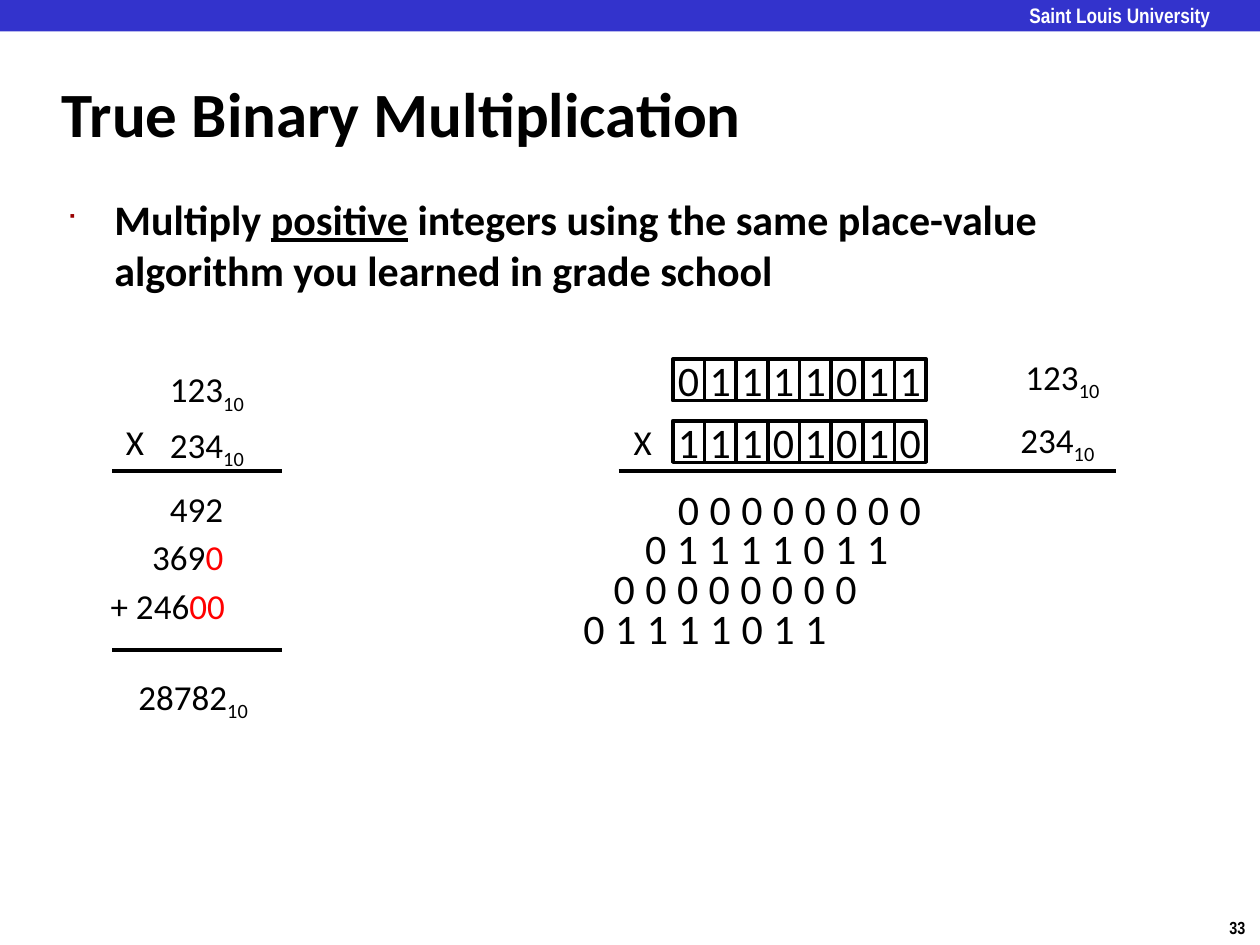
from dataclasses import dataclass
from typing import Any

from lxml.etree import SubElement
from pptx import Presentation
from pptx.dml.color import RGBColor
from pptx.enum.shapes import MSO_CONNECTOR, MSO_SHAPE
from pptx.enum.text import MSO_ANCHOR, MSO_AUTO_SIZE, PP_ALIGN
from pptx.oxml.ns import qn
from pptx.util import Inches, Pt

BLACK = "000000"
WHITE = "FFFFFF"
RED = "FF0000"
ROW_WIDTH = 2.01
CELL_HEIGHT = 0.33
COLUMN_ORDER = (0, 1, 2, 5, 6, 7, 3, 4)

NUMBER = {"size": Pt(20), "name": "Calibri"}
DIGIT = {"size": Pt(24), "name": "Calibri"}
TITLE = {"size": Pt(36), "name": "Calibri", "bold": True}
BODY = {"size": Pt(24), "name": "Calibri", "bold": True}
HEADER = {"size": Pt(12), "name": "Arial Narrow", "bold": True}
PAGE = {"size": Pt(10), "name": "Arial Narrow", "bold": True}
FITTED = {"word_wrap": False, "auto_size": MSO_AUTO_SIZE.SHAPE_TO_FIT_TEXT}
CENTERED = {"word_wrap": False, "vertical_anchor": MSO_ANCHOR.MIDDLE}
NO_MARGINS = {"margin_left": 0, "margin_top": 0, "margin_right": 0,
              "margin_bottom": 0, "word_wrap": True}


@dataclass(frozen=True)
class Piece:
    text: str
    color: str = BLACK
    subscript: bool = False
    underline: bool = False


@dataclass(frozen=True)
class Label:
    left: float
    top: float
    width: float
    pieces: tuple[Piece, ...]


@dataclass(frozen=True)
class Rule:
    left: float
    right: float
    top: float


@dataclass(frozen=True)
class BitRow:
    bits: str
    left: float
    top: float
    border: str = WHITE
    label: Label | None = None


def color_of(value: str) -> RGBColor:
    return RGBColor.from_string(value)


def apply_format(target: Any, values: dict[str, Any]) -> None:
    for name, value in values.items():
        setattr(target, name, value)


def write(paragraph: Any, pieces: tuple[Piece, ...], style: dict[str, Any]) -> None:
    for piece in pieces:
        run = paragraph.add_run()
        run.text = piece.text
        apply_format(run.font, style)
        run.font.color.rgb = color_of(piece.color)
        if piece.underline:
            run.font.underline = True
        if piece.subscript:
            run._r.get_or_add_rPr().set("baseline", "-25000")


def set_indent(paragraph: Any, amount: float) -> Any:
    properties = paragraph._p.get_or_add_pPr()
    properties.set("marL", str(Inches(amount)))
    properties.set("indent", str(-Inches(amount)))
    return properties


def add_text(shapes: Any, left: float, top: float, width: float, height: float,
             pieces: tuple[Piece, ...], style: dict[str, Any],
             frame: dict[str, Any]) -> Any:
    box = shapes.add_textbox(Inches(left), Inches(top), Inches(width), Inches(height))
    apply_format(box.text_frame, frame)
    paragraph = box.text_frame.paragraphs[0]
    write(paragraph, pieces, style)
    return paragraph


def add_label(shapes: Any, label: Label) -> None:
    add_text(shapes, label.left, label.top, label.width, 0.44, label.pieces,
             NUMBER, FITTED)


def add_rectangle(shapes: Any, left: float, top: float, width: float,
                  height: float, fill: str) -> Any:
    shape = shapes.add_shape(MSO_SHAPE.RECTANGLE, Inches(left), Inches(top),
                             Inches(width), Inches(height))
    shape.shadow.inherit = False
    shape.fill.solid()
    shape.fill.fore_color.rgb = color_of(fill)
    return shape


def add_bit_row(shapes: Any, row: BitRow) -> None:
    group = shapes.add_group_shape()
    cell_width = ROW_WIDTH / len(row.bits)
    for column in COLUMN_ORDER:
        cell = add_rectangle(group.shapes, row.left + column * cell_width, row.top,
                             cell_width, CELL_HEIGHT, WHITE)
        cell.line.color.rgb = color_of(row.border)
        cell.line.width = Pt(2)
        apply_format(cell.text_frame, CENTERED)
        paragraph = cell.text_frame.paragraphs[0]
        paragraph.alignment = PP_ALIGN.CENTER
        write(paragraph, (Piece(row.bits[column]),), DIGIT)
    if row.label:
        add_label(group.shapes, row.label)


def add_rule(shapes: Any, rule: Rule) -> None:
    line = shapes.add_connector(MSO_CONNECTOR.STRAIGHT, Inches(rule.left),
                                Inches(rule.top), Inches(rule.right), Inches(rule.top))
    line.line.color.rgb = color_of(BLACK)
    line.line.width = Pt(2)
    SubElement(line._element.spPr, qn("a:effectLst"))


def add_title(slide: Any, text: str) -> None:
    title = slide.shapes.title
    apply_format(title, {"left": Inches(0.39), "top": Inches(0.48),
                         "width": Inches(8.3), "height": Inches(0.83)})
    title.text_frame.vertical_anchor = MSO_ANCHOR.MIDDLE
    paragraph = title.text_frame.paragraphs[0]
    paragraph.alignment = PP_ALIGN.LEFT
    set_indent(paragraph, 0.13)
    write(paragraph, (Piece(text),), TITLE)


def add_body(shapes: Any, pieces: tuple[Piece, ...]) -> None:
    paragraph = add_text(shapes, 0.43, 1.49, 8.64, 5.44, pieces, BODY,
                         {"word_wrap": True})
    properties = set_indent(paragraph, 0.38)
    bullet_color = SubElement(properties, qn("a:buClr"))
    SubElement(bullet_color, qn("a:srgbClr")).set("val", "990000")
    SubElement(properties, qn("a:buSzPct")).set("val", "60000")
    SubElement(properties, qn("a:buFont")).set("typeface", "Wingdings")
    SubElement(properties, qn("a:buChar")).set("char", "■")


def main() -> None:
    presentation = Presentation()
    presentation.slide_width = Inches(10)
    presentation.slide_height = Inches(7.5)
    slide = presentation.slides.add_slide(presentation.slide_layouts[5])
    shapes = slide.shapes

    add_text(shapes, 9.66, 7.23, 0.34, 0.27, (Piece("33"),), PAGE, FITTED)
    add_rectangle(shapes, 0, 0, 10.01, 0.25, "3333CC").line.fill.background()
    add_text(shapes, 8.17, 0.02, 1.67, 0.19,
             (Piece("Saint Louis University", WHITE),), HEADER, NO_MARGINS)
    add_title(slide, "True Binary Multiplication")
    add_body(shapes, (
        Piece("Multiply "),
        Piece("positive", underline=True),
        Piece(" integers using the same place-value algorithm you learned in grade school"),
    ))

    base_ten = Piece("10", subscript=True)
    multiplicand = (Piece("123"), base_ten)
    multiplier = (Piece("234"), base_ten)
    labels = (
        Label(1.25, 2.87, 0.82, multiplicand),
        Label(1.25, 3.31, 0.82, multiplier),
        Label(1.25, 3.82, 0.63, (Piece("492"),)),
        Label(0.9, 3.29, 0.35, (Piece("X"),)),
        Label(1.11, 4.2, 0.77, (Piece("369"), Piece("0", RED))),
        Label(0.78, 4.59, 1.12, (Piece("+ 246"), Piece("00", RED))),
        Label(1, 5.31, 1.1, (Piece("28782"), base_ten)),
    )
    for label in labels:
        add_label(shapes, label)
    for rule in (Rule(0.89, 2.24, 3.74), Rule(0.89, 2.24, 5.16), Rule(4.91, 8.86, 3.74)):
        add_rule(shapes, rule)

    bit_rows = (
        BitRow("01111011", 5.34, 2.85, BLACK, Label(8.04, 2.77, 0.82, multiplicand)),
        BitRow("11101010", 5.34, 3.34, BLACK, Label(8, 3.27, 0.82, multiplier)),
        BitRow("00000000", 5.34, 3.87),
        BitRow("01111011", 5.08, 4.18),
        BitRow("01111011", 4.59, 4.82),
        BitRow("00000000", 4.83, 4.5),
    )
    for row in bit_rows:
        add_bit_row(shapes, row)
    add_label(shapes, Label(4.93, 3.29, 0.35, (Piece("X"),)))

    presentation.save("out.pptx")


if __name__ == "__main__":
    main()
